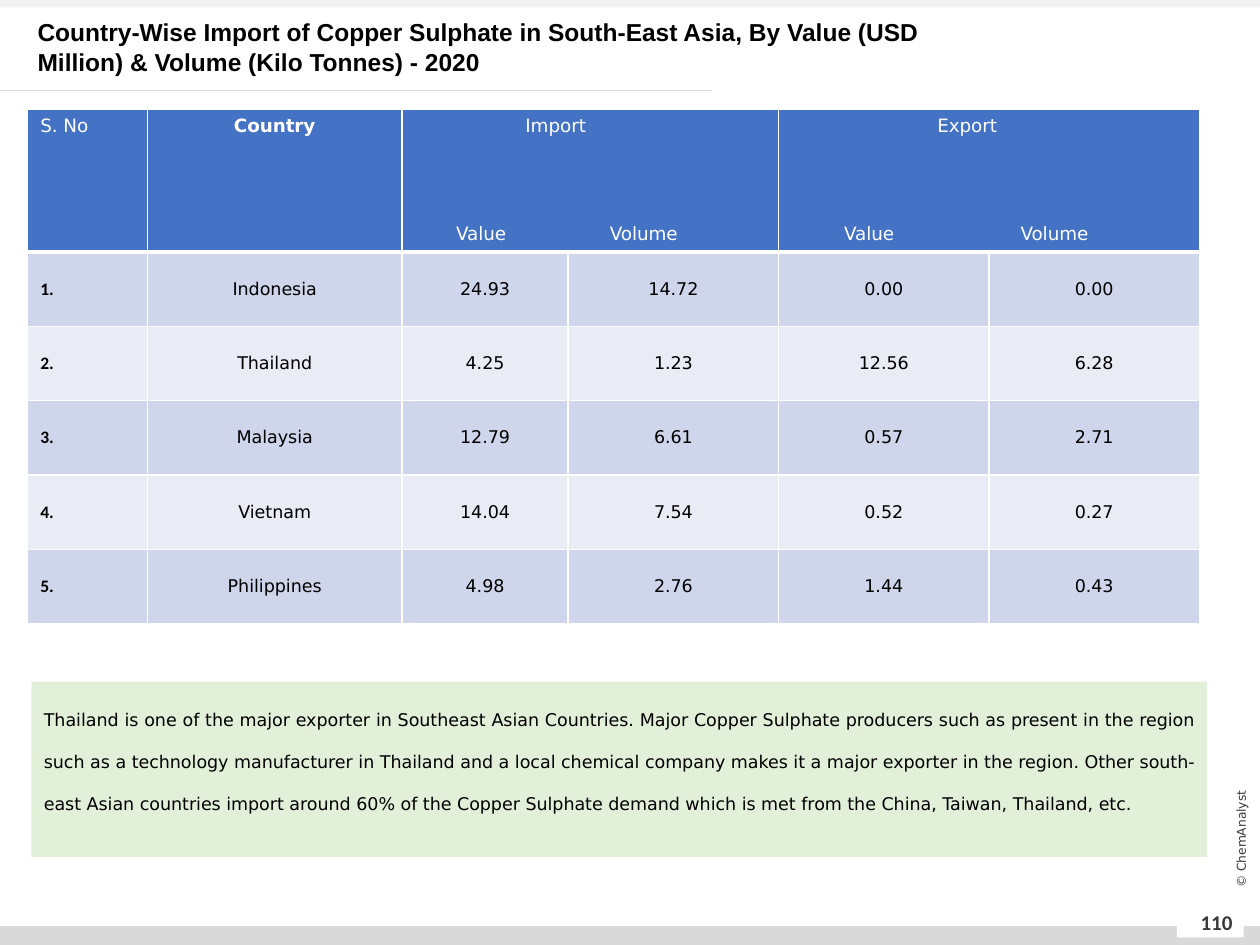
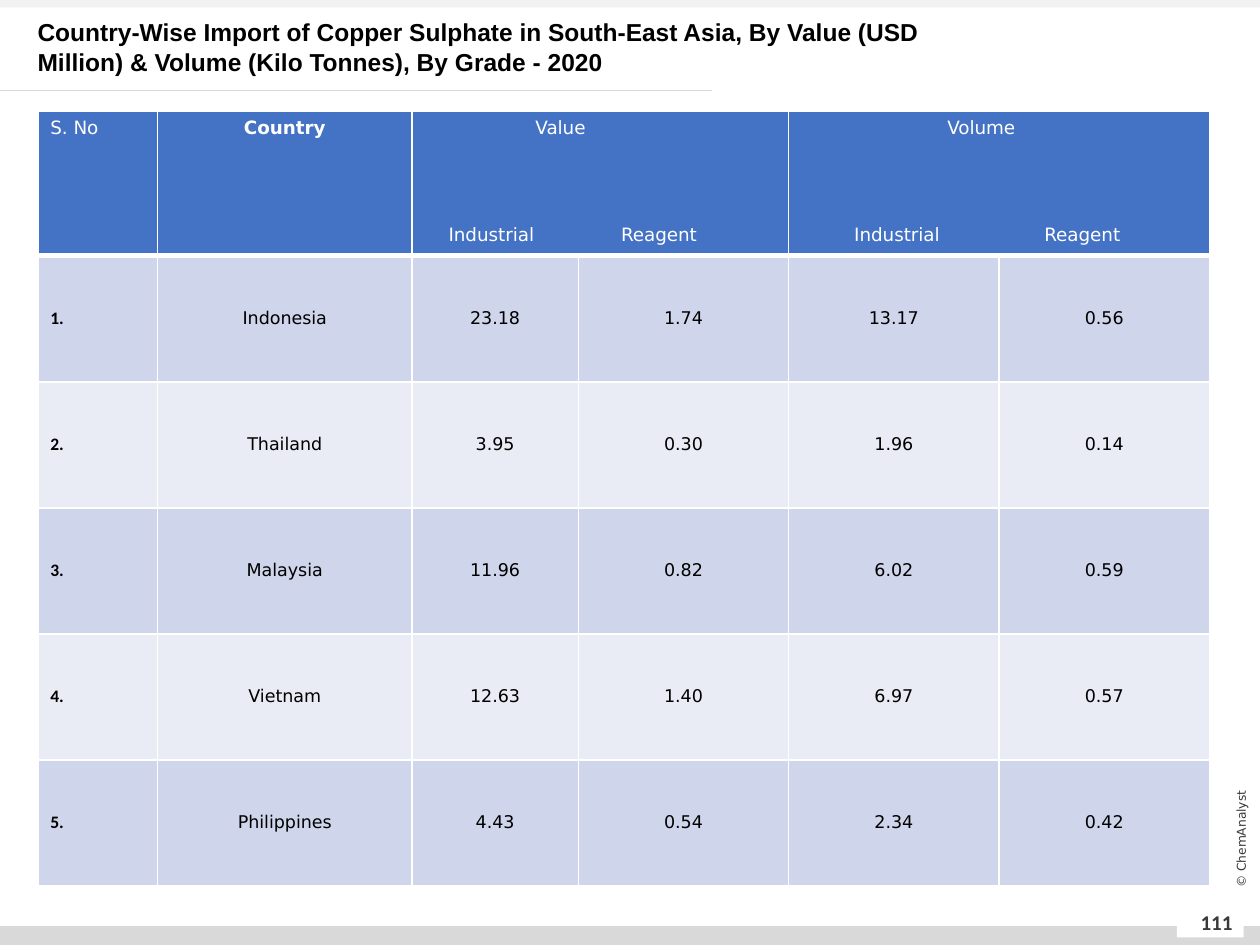
from lxml import etree
from pptx import Presentation
from pptx import util as u
from pptx.dml.color import RGBColor
from pptx.enum import shapes, text
from pptx.oxml.ns import qn

INK, GREY, WHITE = "000000", "3B3838", "FFFFFF"
RULE, TOP_BAND, NOTE_FILL = "D9D9D9", "F2F2F2", "E2F0D9"
HEADER_FILL, ROW_FILLS = "4472C4", ("CFD5EA", "E9EBF5")
BODY_FONT = "DejaVu Sans"
COLUMN_WIDTHS = (0.95, 2.02, 1.32, 1.67, 1.67, 1.67)
COUNTRIES = ("Indonesia", "Thailand", "Malaysia", "Vietnam", "Philippines")
LEFT, CENTER, JUSTIFY = text.PP_ALIGN.LEFT, text.PP_ALIGN.CENTER, text.PP_ALIGN.JUSTIFY
MIDDLE, TOP = text.MSO_ANCHOR.MIDDLE, text.MSO_ANCHOR.TOP
TITLE = ("Country-Wise Import of Copper Sulphate in South-East Asia, "
         "By Value (USD Million) & Volume (Kilo Tonnes)")
TRADE_NOTE = (
    "Thailand is one of the major exporter in Southeast Asian Countries. Major Copper "
    "Sulphate producers such as present in the region such as a technology manufacturer "
    "in Thailand and a local chemical company makes it a major exporter in the region. "
    "Other south-east Asian countries import around 60% of the Copper Sulphate demand "
    "which is met from the China, Taiwan, Thailand, etc.")


def color(hex_code):
    return RGBColor.from_string(hex_code)


def box(values):
    return [u.Inches(value) for value in values]


def write(paragraph, words, size, hex_code=INK, font=BODY_FONT, bold=False, align=LEFT):
    paragraph.text = words
    paragraph.alignment = align
    paragraph.font.size = u.Pt(size)
    paragraph.font.name = font
    paragraph.font.bold = bold
    paragraph.font.color.rgb = color(hex_code)
    return paragraph


def add_band(slide, place, fill):
    band = slide.shapes.add_shape(shapes.MSO_SHAPE.RECTANGLE, *box(place))
    band.shadow.inherit = False
    band.fill.solid()
    band.fill.fore_color.rgb = color(fill)
    band.line.fill.background()
    return band


def add_label(slide, place, words, size, **style):
    label = slide.shapes.add_textbox(*box(place))
    label.text_frame.word_wrap = True
    label.text_frame.vertical_anchor = MIDDLE
    write(label.text_frame.paragraphs[0], words, size, **style)
    return label


def add_title_rule(slide):
    rule = slide.shapes.add_connector(
        shapes.MSO_CONNECTOR.STRAIGHT, *box((0, 0.72, 5.65, 0.72)))
    rule.line.color.rgb = color(RULE)
    rule.line.width = u.Pt(0.5)
    etree.SubElement(rule._element.spPr, qn("a:effectLst"))


def add_frame(deck, title, page):
    slide = deck.slides.add_slide(deck.slide_layouts[6])
    add_band(slide, (0, 7.35, 10, 0.15), RULE)
    add_band(slide, (0, 0, 10, 0.06), TOP_BAND)
    add_band(slide, (9.34, 7.22, 0.53, 0.22), WHITE)
    add_title_rule(slide)
    add_label(slide, (9.41, 7.12, 0.49, 0.4), str(page), 12,
              hex_code=GREY, font="Calibri", bold=True, align=CENTER)
    credit = add_label(slide, (9.25, 6.58, 1.2, 0.16), "© ChemAnalyst", 7,
                       hex_code=GREY, align=CENTER)
    credit.rotation = 270
    heading = add_label(slide, (0.2, 0.09, 7.67, 0.56), title, 14, font="Arial", bold=True)
    heading.text_frame.paragraphs[0].line_spacing = u.Pt(17)
    return slide


def style_cell(cell, fill, anchor, bottom_width=1):
    cell.vertical_anchor = anchor
    properties = cell._tc.get_or_add_tcPr()
    for side in ("lnL", "lnR", "lnT", "lnB"):
        width = bottom_width if side == "lnB" else 1
        border = etree.SubElement(properties, qn(f"a:{side}"), w=str(u.Pt(width)))
        paint = etree.SubElement(border, qn("a:solidFill"))
        etree.SubElement(paint, qn("a:srgbClr"), val=WHITE)
    cell.fill.solid()
    cell.fill.fore_color.rgb = color(fill)


def set_tabs(paragraph, stops):
    tabs = etree.SubElement(paragraph._p.get_or_add_pPr(), qn("a:tabLst"))
    for stop in stops:
        etree.SubElement(tabs, qn("a:tab"), pos=str(u.Inches(stop)), algn="l")


def write_group(cell, name, name_stop, measures, measure_stops):
    frame = cell.text_frame
    group_line, measure_line = frame.paragraphs[0], frame.add_paragraph()
    measure_line.space_before = u.Pt(49)
    set_tabs(group_line, [name_stop])
    set_tabs(measure_line, measure_stops)
    write(group_line, "\t" + name, 10.5, WHITE)
    write(measure_line, "\t" + "\t".join(measures), 10.5, WHITE)


def add_trade_table(slide, corner, header_height, row_height, groups, measures,
                    measure_stops, figures):
    height = header_height + row_height * len(COUNTRIES)
    place = (*corner, sum(COLUMN_WIDTHS), height)
    table = slide.shapes.add_table(
        len(COUNTRIES) + 1, len(COLUMN_WIDTHS), *box(place)).table
    table.first_row = table.horz_banding = False
    for column, width in zip(table.columns, COLUMN_WIDTHS):
        column.width = u.Inches(width)
    for index, row in enumerate(table.rows):
        row.height = u.Inches(row_height if index else header_height)

    for cell in table.rows[0].cells:
        style_cell(cell, HEADER_FILL, TOP, bottom_width=3)
    write(table.cell(0, 0).text_frame.paragraphs[0], "S. No", 10.5, WHITE)
    write(table.cell(0, 1).text_frame.paragraphs[0], "Country", 10.5, WHITE,
          bold=True, align=CENTER)
    for first, name, name_stop, stops in zip((2, 4), groups, (0.88, 1.16), measure_stops):
        table.cell(0, first).merge(table.cell(0, first + 1))
        write_group(table.cell(0, first), name, name_stop, measures, stops)

    for number, (country, values) in enumerate(zip(COUNTRIES, figures), 1):
        entries = (f"{number}.", country, *(f"{value:.2f}" for value in values))
        for column, entry in enumerate(entries):
            cell = table.cell(number, column)
            style_cell(cell, ROW_FILLS[(number - 1) % 2], MIDDLE)
            style = {"align": CENTER} if column else {"font": "Calibri", "bold": True}
            write(cell.text_frame.paragraphs[0], entry, 10, **style)


def add_note(slide, place, words):
    note = add_band(slide, place, NOTE_FILL)
    note.text_frame.word_wrap = True
    note.text_frame.vertical_anchor = TOP
    write(note.text_frame.paragraphs[0], words, 10, align=JUSTIFY).line_spacing = 2.0


def main():
    deck = Presentation()
    deck.slide_width, deck.slide_height = u.Inches(10), u.Inches(7.5)

    totals = add_frame(deck, f"{TITLE} - 2020", 110)
    add_trade_table(
        totals, (0.22, 0.87), 1.08, 0.59, ("Import", "Export"), ("Value", "Volume"),
        ((0.33, 1.55), (0.42, 1.82)),
        ((24.93, 14.72, 0, 0), (4.25, 1.23, 12.56, 6.28), (12.79, 6.61, 0.57, 2.71),
         (14.04, 7.54, 0.52, 0.27), (4.98, 2.76, 1.44, 0.43)))
    add_note(totals, (0.25, 5.41, 9.33, 1.39), TRADE_NOTE)

    grades = add_frame(deck, f"{TITLE}, By Grade - 2020", 111)
    add_trade_table(
        grades, (0.3, 0.88), 1.15, 1, ("Value", "Volume"), ("Industrial", "Reagent"),
        ((0.19, 1.56), (0.42, 1.93)),
        ((23.18, 1.74, 13.17, 0.56), (3.95, 0.30, 1.96, 0.14), (11.96, 0.82, 6.02, 0.59),
         (12.63, 1.40, 6.97, 0.57), (4.43, 0.54, 2.34, 0.42)))

    deck.save("out.pptx")


if __name__ == "__main__":
    main()
